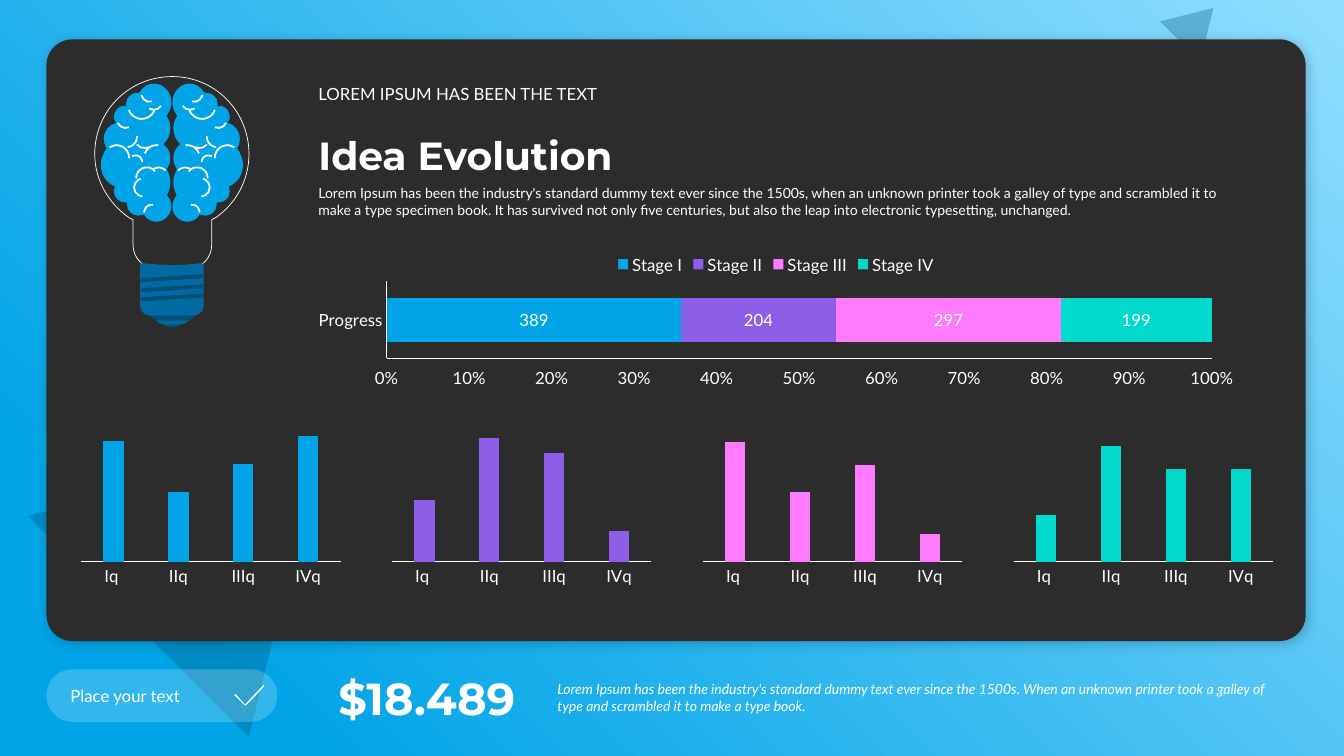
from lxml import etree
from pptx import Presentation
from pptx.chart.data import CategoryChartData
from pptx.dml.color import RGBColor
from pptx.enum.chart import XL_CHART_TYPE as ChartType
from pptx.enum.chart import XL_LEGEND_POSITION as LegendAt
from pptx.enum.chart import XL_TICK_LABEL_POSITION as LabelsAt
from pptx.enum.chart import XL_TICK_MARK as Tick
from pptx.enum.shapes import MSO_SHAPE as Shape
from pptx.enum.text import MSO_ANCHOR as Anchor
from pptx.enum.text import MSO_AUTO_SIZE as AutoSize
from pptx.enum.text import PP_ALIGN as Align
from pptx.oxml import parse_xml
from pptx.oxml.ns import nsdecls, qn
from pptx.util import Inches, Pt

WHITE, DARK, NAVY = "FFFFFF", "2C2C2C", "005274"
BLUE, VIOLET, PINK, TEAL = "01A4E7", "8D5FE6", "FD7BFC", "01D9CC"
CAP, CAP_SHADE = "016AA1", "015079"
MIRROR = 3.41  # sum of the x values of mirrored points in the brain


def rgb(color):
    return RGBColor.from_string(color)


def mirror_outline(outline):
    return [(kind, *[MIRROR - v if i % 2 == 0 else v for i, v in enumerate(values)])
            for kind, *values in outline]


class SlideBuilder:
    font, color = "Lato", WHITE

    def __init__(self, slide):
        self.slide = slide
        self.shapes = slide.shapes

    def group(self):
        self.shapes = self.slide.shapes.add_group_shape().shapes

    def ungroup(self):
        self.shapes = self.slide.shapes

    def paint(self, shape, fill=None, alpha=None, line=None, width=0.75):
        shape.shadow.inherit = False
        if fill:
            shape.fill.solid()
            shape.fill.fore_color.rgb = rgb(fill)
            if alpha:
                tone = shape._element.spPr.find(qn("a:solidFill"))[0]
                etree.SubElement(tone, qn("a:alpha"), val=str(alpha * 1000))
        else:
            shape.fill.background()
        if line:
            shape.line.color.rgb = rgb(line)
            shape.line.width = Pt(width)
        else:
            shape.line.fill.background()
        return shape

    def preset(self, kind, box, adj=(), rot=0, flip=False, **style):
        shape = self.shapes.add_shape(kind, *map(Inches, box))
        for i, value in enumerate(adj):
            shape.adjustments[i] = value
        shape.rotation = rot
        if flip:
            shape._element.spPr.find(qn("a:xfrm")).set("flipH", "1")
        return self.paint(shape, **style)

    def outline(self, segments, **style):
        """Draw ("M" | "L" | "C", coordinates...) segments as one closed shape."""
        ends = [(Inches(x), Inches(y)) for *_, x, y in segments]
        builder = self.shapes.build_freeform(*ends[0], scale=1.0)
        builder.add_line_segments(ends[1:], close=True)
        shape = builder.convert_to_shape()
        left, top = (min(values) for values in zip(*ends))
        lines = list(shape._element.iter(qn("a:lnTo")))
        for line, (kind, *values) in zip(lines, segments[1:]):
            if kind == "C":
                line.tag = qn("a:cubicBezTo")
                for i in (0, 2):
                    line.insert(i // 2, etree.Element(
                        qn("a:pt"), x=str(Inches(values[i]) - left),
                        y=str(Inches(values[i + 1]) - top)))
        return self.paint(shape, **style)

    def text(self, text, box, size=12, font=None, bold=False, italic=False,
             align=Align.LEFT, anchor=Anchor.TOP, after=0):
        frame = self.shapes.add_textbox(*map(Inches, box)).text_frame
        frame.word_wrap = True
        frame.auto_size = AutoSize.SHAPE_TO_FIT_TEXT
        frame.vertical_anchor = anchor
        paragraph = frame.paragraphs[0]
        paragraph.alignment = align
        paragraph.space_after = Pt(after)
        run = paragraph.add_run()
        run.text = text
        run.font.name, run.font.size = font or self.font, Pt(size)
        run.font.bold, run.font.italic = bold, italic
        run.font.color.rgb = rgb(self.color)

    def chart(self, kind, box, categories, series, gap, overlap):
        """Add a chart; series holds (name, values, color) tuples."""
        data = CategoryChartData()
        data.categories = categories
        for name, values, _ in series:
            data.add_series(name, values)
        chart = self.shapes.add_chart(kind, *map(Inches, box), data).chart
        chart.has_title = chart.has_legend = False
        chart.font.name, chart.font.size = self.font, Pt(12)
        chart.font.color.rgb = rgb(self.color)
        plot = chart.plots[0]
        plot.gap_width, plot.overlap, plot.vary_by_categories = gap, overlap, False
        for bars, (_, _, color) in zip(plot.series, series):
            bars.format.fill.solid()
            bars.format.fill.fore_color.rgb = rgb(color)
        for axis in (chart.category_axis, chart.value_axis):
            axis.has_major_gridlines = False
            axis.major_tick_mark = axis.minor_tick_mark = Tick.NONE
            axis.format.line.color.rgb = rgb(self.color)
            axis.format.line.width = Pt(0.75)
        return chart


def fix_plot(chart, x, y, w, h):
    area = chart._chartSpace.chart.plotArea
    for old in area.findall(qn("c:layout")):
        area.remove(old)
    parts = "".join(f'<c:{tag} val="{value}"/>' for tag, value in (
        ("layoutTarget", "inner"), ("xMode", "edge"), ("yMode", "edge"),
        ("x", x), ("y", y), ("w", w), ("h", h)))
    area.insert(0, parse_xml(f'<c:layout {nsdecls("c")}><c:manualLayout>{parts}'
                             '</c:manualLayout></c:layout>'))


BULB = [("M", 1.71, 0.76), ("C", 2.13, 0.76, 2.47, 1.1, 2.47, 1.53),
        ("C", 2.47, 1.79, 2.34, 2.02, 2.14, 2.16), ("L", 2.1, 2.18), ("L", 2.1, 2.43),
        ("C", 2.1, 2.56, 2, 2.66, 1.88, 2.66), ("L", 1.54, 2.66),
        ("C", 1.42, 2.66, 1.32, 2.56, 1.32, 2.43), ("L", 1.32, 2.18), ("L", 1.28, 2.16),
        ("C", 1.08, 2.02, 0.94, 1.79, 0.94, 1.53), ("C", 0.94, 1.1, 1.28, 0.76, 1.71, 0.76)]
BRAIN_HALF = [
    ("M", 1.53, 0.83), ("C", 1.62, 0.83, 1.7, 0.91, 1.7, 1.02),
    ("C", 1.7, 1.05, 1.69, 1.09, 1.67, 1.12), ("L", 1.65, 1.15),
    ("C", 1.68, 1.19, 1.69, 1.23, 1.69, 1.27), ("C", 1.69, 1.33, 1.67, 1.38, 1.63, 1.42),
    ("L", 1.62, 1.43), ("L", 1.63, 1.44), ("C", 1.67, 1.47, 1.69, 1.52, 1.69, 1.57),
    ("C", 1.69, 1.61, 1.68, 1.64, 1.66, 1.67), ("L", 1.65, 1.68), ("L", 1.66, 1.69),
    ("C", 1.68, 1.73, 1.69, 1.77, 1.69, 1.81), ("C", 1.69, 1.85, 1.68, 1.89, 1.66, 1.93),
    ("L", 1.65, 1.94), ("L", 1.66, 1.94), ("C", 1.68, 1.97, 1.7, 2, 1.7, 2.05),
    ("C", 1.7, 2.13, 1.63, 2.2, 1.55, 2.2), ("C", 1.5, 2.2, 1.45, 2.17, 1.43, 2.13),
    ("L", 1.42, 2.13), ("C", 1.4, 2.14, 1.39, 2.14, 1.37, 2.14),
    ("C", 1.31, 2.14, 1.26, 2.09, 1.26, 2.03), ("L", 1.26, 2.01), ("L", 1.25, 2.01),
    ("C", 1.18, 2.01, 1.13, 1.96, 1.13, 1.9), ("C", 1.13, 1.88, 1.13, 1.87, 1.14, 1.85),
    ("L", 1.1, 1.83), ("C", 1.04, 1.79, 1, 1.72, 1, 1.63),
    ("C", 1, 1.58, 1.02, 1.54, 1.04, 1.5), ("L", 1.06, 1.47), ("L", 1.05, 1.46),
    ("C", 1.04, 1.44, 1.03, 1.41, 1.03, 1.38), ("C", 1.03, 1.3, 1.08, 1.24, 1.15, 1.22),
    ("L", 1.16, 1.22), ("L", 1.14, 1.2), ("C", 1.13, 1.19, 1.13, 1.17, 1.13, 1.16),
    ("C", 1.13, 1.1, 1.18, 1.05, 1.23, 1.05), ("L", 1.25, 1.06), ("L", 1.25, 1.03),
    ("C", 1.25, 0.97, 1.3, 0.92, 1.37, 0.92), ("L", 1.38, 0.92), ("L", 1.39, 0.91),
    ("C", 1.42, 0.86, 1.47, 0.83, 1.53, 0.83)]
CAP_TOP = [("M", 1.39, 2.63), ("C", 1.39, 2.62, 1.4, 2.61, 1.41, 2.61),
           ("C", 1.51, 2.62, 1.6, 2.63, 1.71, 2.63), ("C", 1.82, 2.63, 1.91, 2.62, 2, 2.61),
           ("C", 2.01, 2.61, 2.02, 2.62, 2.02, 2.63), ("L", 2.02, 3.04),
           ("C", 2.02, 3.05, 2.01, 3.06, 2, 3.06), ("L", 1.41, 3.06),
           ("C", 1.4, 3.06, 1.39, 3.05, 1.39, 3.04)]
CHECK = [("M", 2.62, 6.81), ("L", 2.62, 6.8), ("L", 2.61, 6.8), ("L", 2.43, 6.99),
         ("L", 2.34, 6.89), ("L", 2.32, 6.89), ("L", 2.33, 6.9), ("L", 2.43, 7), ("L", 2.44, 7)]
# Brain folds: left, top, size, rotation, arc start and end
FOLDS = [(1.44, 0.92, 0.17, 122.3, 162, 0), (1.4, 0.84, 0.17, 167.1, 162, 0),
         (1.27, 0.91, 0.27, 167.1, 130.12, 211.95), (1.03, 1.44, 0.25, 167.1, 41.6, 117.24),
         (1.28, 1.54, 0.13, 167.1, 41.6, 117.24), (1.16, 1.1, 0.17, 156.5, 162, 0),
         (1.49, 1.66, 0.17, 126.4, 63.03, 117.24), (1.35, 1.66, 0.21, 126.4, 30.97, 117.24),
         (1.43, 2.03, 0.15, 126.4, 30.97, 90.77), (1.43, 1.44, 0.24, 158.8, 23.82, 72.33),
         (1.33, 1.77, 0.18, 58.3, 21.7, 117.24), (1.34, 1.29, 0.18, 21.9, 23.82, 72.33),
         (1.15, 1.25, 0.21, 110.9, 147.33, 199.6)]


def main():
    deck = Presentation()
    deck.slide_width, deck.slide_height = Inches(13.33), Inches(7.5)
    page = SlideBuilder(deck.slides.add_slide(deck.slide_layouts[6]))
    page.slide.background.fill.solid()
    page.slide.background.fill.fore_color.rgb = rgb(DARK)

    # Backdrop with a glow from the top right
    backdrop = page.preset(Shape.RECTANGLE, (0, 0, 13.33, 7.5))
    props = backdrop._element.spPr
    props.replace(props.find(qn("a:noFill")), parse_xml(
        f'<a:gradFill {nsdecls("a")} rotWithShape="1"><a:gsLst>'
        f'<a:gs pos="0"><a:srgbClr val="90DEFF"/></a:gs>'
        f'<a:gs pos="85000"><a:srgbClr val="{BLUE}"/></a:gs></a:gsLst>'
        '<a:path path="circle"><a:fillToRect l="100000" b="100000"/></a:path></a:gradFill>'))
    for box in ((0.73, 4.02, 3.1, 2.57), (11.59, 0.01, 0.56, 0.47)):
        page.preset(Shape.ISOSCELES_TRIANGLE, box, rot=45, fill=NAVY, alpha=30)

    # Main panel with a soft shadow
    panel = page.preset(Shape.ROUNDED_RECTANGLE, (0.46, 0.39, 12.49, 5.97), [0.26 / 5.97], fill=DARK)
    panel._element.spPr.find(qn("a:effectLst")).append(parse_xml(
        f'<a:outerShdw {nsdecls("a")} blurRad="{Pt(8)}" dist="{Pt(3)}" dir="2700000" '
        'algn="tl" rotWithShape="0"><a:srgbClr val="000000"><a:alpha val="20000"/>'
        '</a:srgbClr></a:outerShdw>'))

    # Footer
    page.group()
    page.preset(Shape.ROUNDED_RECTANGLE, (0.46, 6.64, 2.29, 0.52), [0.5], fill=WHITE, alpha=20)
    page.outline(CHECK, fill=WHITE)
    page.text("Place your text", (0.6, 6.75, 1.88, 0.3), anchor=Anchor.MIDDLE)
    page.ungroup()
    page.text("$18.489", (3.19, 6.6, 2.02, 0.64), 32, "Montserrat", bold=True,
              align=Align.RIGHT, anchor=Anchor.MIDDLE)
    page.text("Lorem Ipsum has been the industry's standard dummy text ever since the 1500s. When an unknown printer took a galley of type and scrambled it to make a type book.",
              (5.43, 6.7, 7.33, 0.44), 10, italic=True, anchor=Anchor.MIDDLE, after=6)

    # Light bulb with a brain
    page.group()
    page.outline(BULB, fill=DARK, line=WHITE, width=0.5)
    for flip in (False, True):
        page.outline(mirror_outline(BRAIN_HALF) if flip else BRAIN_HALF, fill=BLUE)
        for x, y, size, rot, start, end in FOLDS:
            left = MIRROR - x - size if flip else x
            page.preset(Shape.ARC, (left, y, size, size), (start, end),
                        360 - rot if flip else rot, flip, line=WHITE, width=1.25)
    for box, color in (((1.6, 3.05, 0.21, 0.2), CAP_SHADE), ((1.53, 3.02, 0.36, 0.2), CAP),
                       ((1.46, 2.94, 0.5, 0.24), CAP_SHADE), ((1.39, 2.94, 0.63, 0.19), CAP)):
        page.preset(Shape.ROUNDED_RECTANGLE, box, [0.5], fill=color)
    page.outline(CAP_TOP, fill=CAP)
    for y in (2.74, 2.84, 2.93):
        page.preset(Shape.PARALLELOGRAM, (1.39, y, 0.63, 0.04), [0.31], 356.4, fill=CAP_SHADE)
    page.ungroup()

    # Headings
    page.text("Lorem Ipsum has been the industry's standard dummy text ever since the 1500s, when an unknown printer took a galley of type and scrambled it to make a type specimen book. It has survived not only five centuries, but also the leap into electronic typesetting, unchanged.",
              (3.06, 1.78, 9.35, 0.44), 10, after=6)
    page.text("Idea Evolution", (3.06, 1.25, 9.35, 0.57), 28, "Montserrat", bold=True,
              anchor=Anchor.BOTTOM)
    page.text("LOREM IPSUM HAS BEEN THE TEXT", (3.06, 0.78, 9.35, 0.3), anchor=Anchor.BOTTOM)

    # Quarterly charts: values, axis top, color
    quarters = [((96, 56, 78, 100), 111, BLUE), ((50, 100, 88, 25), 112.5, VIOLET),
                ((100, 58, 81, 23), 116.3, PINK), ((40, 100, 80, 80), 120, TEAL)]
    for i, (values, top, color) in enumerate(quarters):
        chart = page.chart(ChartType.COLUMN_CLUSTERED, (0.75 + i * 9.25 / 3, 3.97, 2.71, 2.2),
                           ("Iq ", "IIq", "IIIq", "IVq"), [("Series 1", values, color)], 219, -27)
        chart.value_axis.minimum_scale, chart.value_axis.maximum_scale = 0, top
        chart.value_axis.visible = False
        fix_plot(chart, 0.02, 0.1, 0.95, 0.63)

    # Progress chart
    stages = [("Stage I", [389], BLUE), ("Stage II", [204], VIOLET),
              ("Stage III", [297], PINK), ("Stage IV", [199], TEAL)]
    progress = page.chart(ChartType.BAR_STACKED_100, (2.97, 2.41, 9.45, 1.47),
                          ["Progress"], stages, 75, 100)
    progress.has_legend = True
    progress.legend.position, progress.legend.include_in_layout = LegendAt.TOP, False
    progress.value_axis.tick_label_position = LabelsAt.LOW
    progress.value_axis.tick_labels.number_format = "0%"
    progress.value_axis.tick_labels.number_format_is_linked = False
    progress.plots[0].has_data_labels = True
    labels = progress.plots[0].data_labels
    labels.show_value = True
    labels.font.size, labels.font.color.rgb = Pt(12), rgb(WHITE)

    deck.save("out.pptx")


if __name__ == "__main__":
    main()
